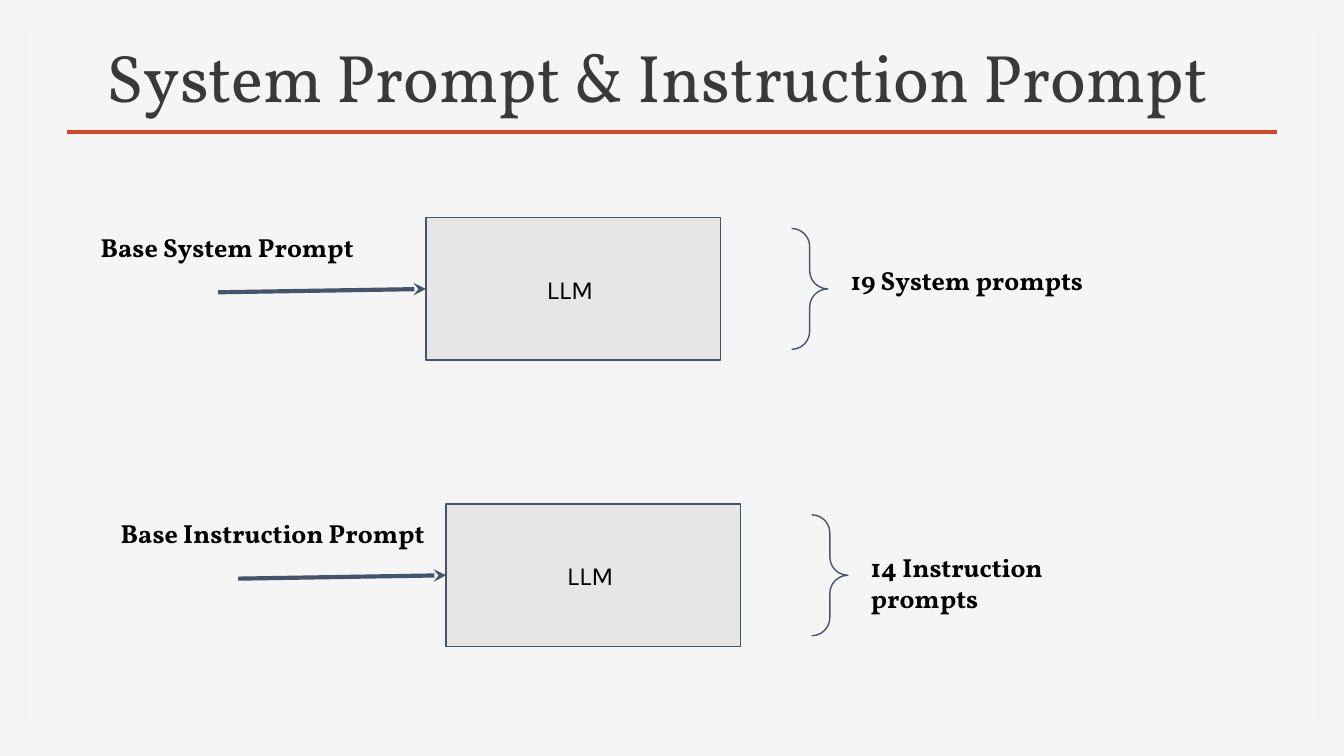
"""Build a slide showing how two base prompts are expanded by an LLM."""
from dataclasses import dataclass

from lxml.etree import SubElement
from pptx import Presentation
from pptx.dml.color import RGBColor
from pptx.enum.shapes import MSO_CONNECTOR, MSO_SHAPE
from pptx.enum.text import MSO_ANCHOR, MSO_AUTO_SIZE, PP_ALIGN
from pptx.oxml.ns import qn
from pptx.util import Pt

BACK = RGBColor(0xF3, 0xF3, 0xF3)
PANEL = RGBColor(0xF5, 0xF5, 0xF5)
RED = RGBColor(0xD2, 0x47, 0x26)
DARK = RGBColor(0x3A, 0x38, 0x38)
GREY = RGBColor(0xE7, 0xE6, 0xE6)
BLUE = RGBColor(0x44, 0x54, 0x6A)
BLACK = RGBColor(0, 0, 0)


@dataclass
class Flow:
    left: float
    top: float
    label: str
    width: float
    result: str


FLOWS = [
    Flow(46.8, 116.6, "Base System Prompt", 157.7, "19 System prompts"),
    Flow(57.6, 270, "Base Instruction Prompt", 177.8, "14 Instruction prompts"),
]


def write(shape, text: str, font="Vollkorn", size=14, color=BLACK, bold=False,
          align=PP_ALIGN.LEFT, anchor=MSO_ANCHOR.TOP, inset=(7.2, 7.2)) -> None:
    frame = shape.text_frame
    frame.auto_size = MSO_AUTO_SIZE.NONE
    frame.word_wrap = True
    frame.vertical_anchor = anchor
    frame.margin_left = frame.margin_right = Pt(inset[0])
    frame.margin_top = frame.margin_bottom = Pt(inset[1])
    para = frame.paragraphs[0]
    para.alignment = align
    run = para.add_run()
    run.text = text
    run.font.name = font
    run.font.size = Pt(size)
    run.font.bold = bold
    run.font.color.rgb = color


def add_form(slide, kind, left: float, top: float, width: float, height: float,
             fill=None, line=None):
    form = slide.shapes.add_shape(kind, Pt(left), Pt(top), Pt(width), Pt(height))
    form.shadow.inherit = False
    if fill is None:
        form.fill.background()
    else:
        form.fill.solid()
        form.fill.fore_color.rgb = fill
    if line is None:
        form.line.fill.background()
    else:
        form.line.color.rgb = line
        form.line.width = Pt(0.75)
    return form


def add_line(slide, start: tuple, end: tuple, color: RGBColor, width: float,
             arrow=False):
    line = slide.shapes.add_connector(
        MSO_CONNECTOR.STRAIGHT, *map(Pt, start + end))
    line.line.color.rgb = color
    line.line.width = Pt(width)
    props = line.element.spPr
    if arrow:
        SubElement(props.find(qn("a:ln")), qn("a:tailEnd"), type="stealth")
    SubElement(props, qn("a:effectLst"))
    return line


def add_note(slide, text: str, left: float, top: float, width: float,
             height: float) -> None:
    note = slide.shapes.add_textbox(Pt(left), Pt(top), Pt(width), Pt(height))
    write(note, text, bold=True)


def add_flow(slide, flow: Flow) -> None:
    x, y = flow.left, flow.top
    box = add_form(slide, MSO_SHAPE.RECTANGLE, x + 181.4, y, 157.7, 76.3,
                   GREY, BLUE)
    write(box, "LLM ", font="Karla", align=PP_ALIGN.CENTER,
          anchor=MSO_ANCHOR.MIDDLE)
    add_line(slide, (x + 70, y + 40), (x + 181.4, y + 38.2), BLUE, 2.25,
             arrow=True)
    brace = add_form(slide, MSO_SHAPE.RIGHT_BRACE, x + 377.3, y + 5.8,
                     19.4, 64.8, line=BLUE)
    brace.adjustments[0] = brace.adjustments[1] = 0.5
    add_note(slide, flow.label, x, y, flow.width, 24.5)
    add_note(slide, flow.result, x + 401.8, y + 18, 163.4, 58.3)


def add_title(slide, text: str) -> None:
    add_form(slide, MSO_SHAPE.RECTANGLE, 15.1, 15.8, 689.8, 373.7, PANEL)
    rule = add_line(slide, (36, 70.6), (684, 70.6), RED, 2)
    title = slide.shapes.title
    title.left, title.top = Pt(31), Pt(26.6)
    title.width, title.height = Pt(649.4), Pt(38.2)
    write(title, text, size=36, color=DARK, align=PP_ALIGN.CENTER,
          anchor=MSO_ANCHOR.BOTTOM, inset=(5, 2.9))
    rule.element.addnext(title.element)


def main() -> None:
    deck = Presentation()
    deck.slide_width, deck.slide_height = Pt(720), Pt(405)
    slide = deck.slides.add_slide(deck.slide_layouts[5])
    slide.background.fill.solid()
    slide.background.fill.fore_color.rgb = BACK
    add_title(slide, "System Prompt & Instruction Prompt ")
    for flow in FLOWS:
        add_flow(slide, flow)
    deck.save("out.pptx")


if __name__ == "__main__":
    main()
